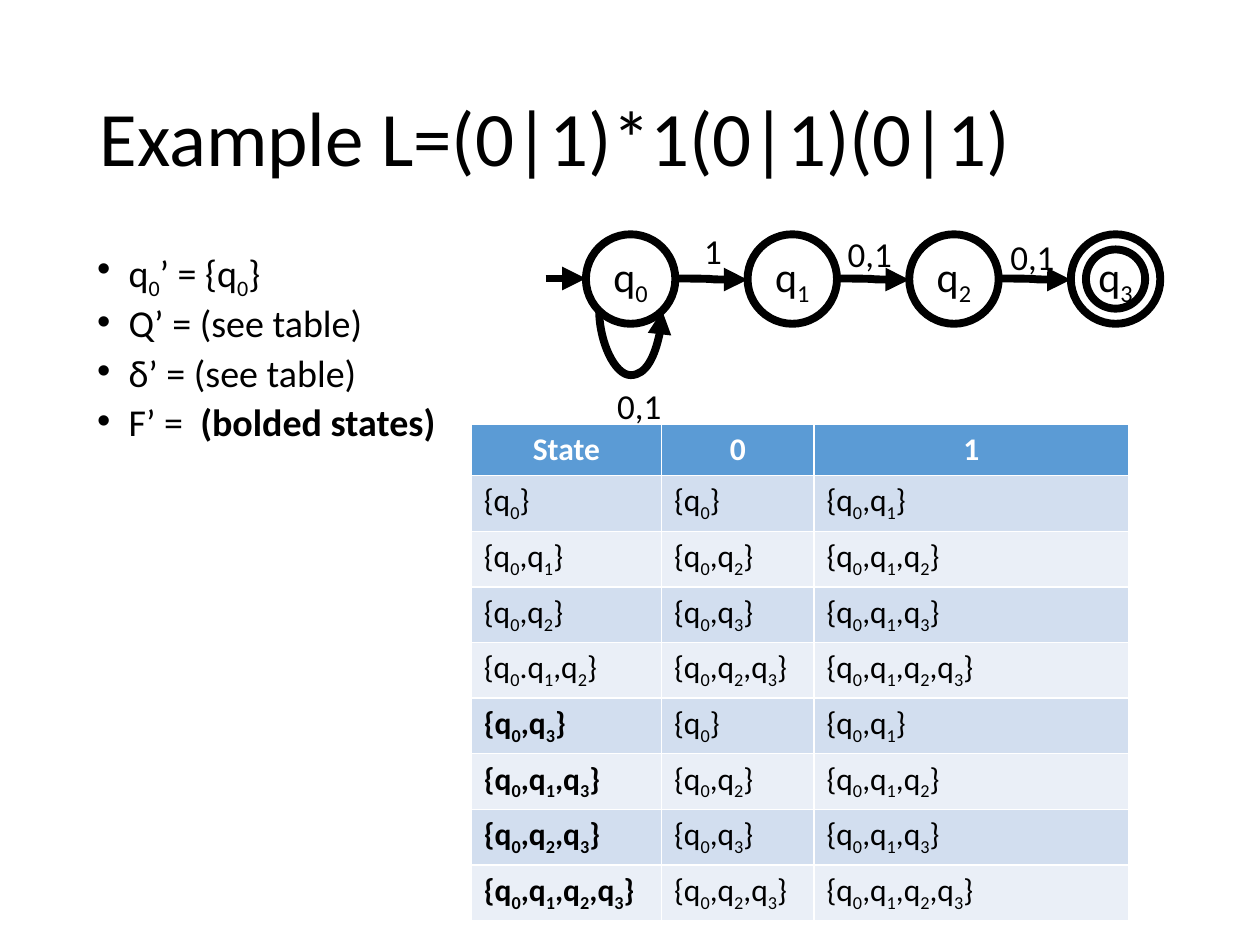
from dataclasses import dataclass
from typing import Any

from lxml import etree
from pptx import Presentation
from pptx import util as u
from pptx.dml.color import RGBColor
from pptx.enum import shapes, text
from pptx.oxml import ns

COLORS = {"ink": "000000", "paper": "FFFFFF", "header": "5B9BD5",
          "odd": "D2DEEF", "even": "EAEFF7"}
FONT = "Calibri"
WIDTH, HEIGHT = u.Inches(10), u.Inches(7.5)

# Diagram grid, in percent of the slide's width or height
FIRST_STATE, STATE_PITCH, STATE_TOP = 46.5, 12.83, 24.8
STATE_SIZE, RING_SIZE = (7.1, 9.47), (4.7, 6.27)
MIDDLE = 29.47


@dataclass
class State:
    label: str
    column: int
    size: tuple[float, float] = STATE_SIZE


@dataclass
class Arrow:
    start: tuple[float, float]
    end: tuple[float, float]
    kind: Any = shapes.MSO_CONNECTOR.CURVE


@dataclass
class Label:
    text: str
    left: float
    top: float
    width: float


def x(share: float) -> int:
    return round(WIDTH * share / 100)


def y(share: float) -> int:
    return round(HEIGHT * share / 100)


def box(left: float, top: float, width: float, height: float) -> tuple:
    return x(left), y(top), x(width), y(height)


def apply(target: Any, values: dict) -> None:
    for name, value in values.items():
        setattr(target, name, value)


def color(name: str) -> RGBColor:
    return RGBColor.from_string(COLORS[name])


def write(paragraph, content: str, size: float, bold: bool = False,
          ink: str = "ink") -> None:
    """Add runs; the character after each underscore is a subscript."""
    first, *others = content.split("_")
    pieces = [(first, False)]
    for other in others:
        pieces += [(other[0], True), (other[1:], False)]
    for piece, lowered in pieces:
        if not piece:
            continue
        run = paragraph.add_run()
        run.text = piece
        apply(run.font, {"name": FONT, "size": u.Pt(size), "bold": bold})
        run.font.color.rgb = color(ink)
        if lowered:
            run.font._element.set("baseline", "-25000")


def outline(shape) -> None:
    shape.line.color.rgb = color("ink")
    shape.line.width = u.Pt(4.5)


def draw_state(slide, state: State) -> None:
    width, height = state.size
    left = FIRST_STATE + state.column * STATE_PITCH + (STATE_SIZE[0] - width) / 2
    top = STATE_TOP + (STATE_SIZE[1] - height) / 2
    shape = slide.shapes.add_shape(shapes.MSO_SHAPE.OVAL, *box(left, top, width, height))
    shape.shadow.inherit = False
    shape.fill.background()
    outline(shape)
    if state.label:
        shape.text_frame.vertical_anchor = text.MSO_ANCHOR.MIDDLE
        paragraph = shape.text_frame.paragraphs[0]
        paragraph.alignment = text.PP_ALIGN.CENTER
        write(paragraph, state.label, 24)


def draw_arrow(slide, arrow: Arrow):
    (x1, y1), (x2, y2) = arrow.start, arrow.end
    connector = slide.shapes.add_connector(arrow.kind, x(x1), y(y1), x(x2), y(y2))
    outline(connector)
    etree.SubElement(connector.line._get_or_add_ln(), ns.qn("a:tailEnd"), type="triangle")
    etree.SubElement(connector._element.spPr, ns.qn("a:effectLst"))
    return connector


def draw_loop(slide) -> None:
    """A curve turned a quarter so that it hangs below the first state."""
    connector = draw_arrow(slide, Arrow((50, MIDDLE), (50.1, MIDDLE + 6.67)))
    properties = connector._element.spPr
    apply_xml = properties.find(ns.qn("a:xfrm")).set
    for name, value in {"rot": "16200000", "flipH": "1"}.items():
        apply_xml(name, value)
    guides = properties.find(ns.qn("a:prstGeom")).find(ns.qn("a:avLst"))
    etree.SubElement(guides, ns.qn("a:gd"), name="adj1", fmla="val 5300000")


def draw_label(slide, label: Label) -> None:
    shape = slide.shapes.add_textbox(*box(label.left, label.top, label.width, 5.87))
    apply(shape.text_frame, {"word_wrap": False,
                             "auto_size": text.MSO_AUTO_SIZE.SHAPE_TO_FIT_TEXT})
    write(shape.text_frame.paragraphs[0], label.text, 20)


def place(placeholder, area: tuple, anchor) -> None:
    apply(placeholder, dict(zip(("left", "top", "width", "height"), area)))
    apply(placeholder.text_frame, {"auto_size": text.MSO_AUTO_SIZE.NONE,
                                   "word_wrap": True, "vertical_anchor": anchor})


def draw_table(slide, rows: list[tuple], columns: tuple, first_bold: int) -> None:
    table = slide.shapes.add_table(
        len(rows), len(columns), *box(37.4, 44.93, sum(columns), 48.67)).table
    for column, width in zip(table.columns, columns):
        column.width = x(width)
    for i, row in enumerate(rows):
        for j, content in enumerate(row):
            cell = table.cell(i, j)
            cell.fill.solid()
            fill = "header" if i == 0 else "odd" if i % 2 else "even"
            cell.fill.fore_color.rgb = color(fill)
            paragraph = cell.text_frame.paragraphs[0]
            if i == 0:
                paragraph.alignment = text.PP_ALIGN.CENTER
            bold = i == 0 or (j == 0 and i >= first_bold)
            write(paragraph, content, 18, bold, "paper" if i == 0 else "ink")


BULLETS = [
    [("q_0’ = {q_0}", False)],
    [("Q’ = (see table)", False)],
    [("δ’ = (see table)", False)],
    [("F’ =  ", False), ("(bolded states)", True)],
]
STATES = [State("", 3, RING_SIZE)] + [State(f"q_{i}", i) for i in range(4)]
LABELS = [Label("0,1", 48, 40, 5.6), Label("1", 54.9, 23.6, 3.4),
          Label("0,1", 66.3, 24, 5.6), Label("0,1", 79.2, 24.27, 5.6)]
TRANSITIONS = [
    ("State", "0", "1"),
    ("{q_0}", "{q_0}", "{q_0,q_1}"),
    ("{q_0,q_1}", "{q_0,q_2}", "{q_0,q_1,q_2}"),
    ("{q_0,q_2}", "{q_0,q_3}", "{q_0,q_1,q_3}"),
    ("{q_0.q_1,q_2}", "{q_0,q_2,q_3}", "{q_0,q_1,q_2,q_3}"),
    ("{q_0,q_3}", "{q_0}", "{q_0,q_1}"),
    ("{q_0,q_1,q_3}", "{q_0,q_2}", "{q_0,q_1,q_2}"),
    ("{q_0,q_2,q_3}", "{q_0,q_3}", "{q_0,q_1,q_3}"),
    ("{q_0,q_1,q_2,q_3}", "{q_0,q_2,q_3}", "{q_0,q_1,q_2,q_3}"),
]


def main() -> None:
    presentation = Presentation()
    apply(presentation, {"slide_width": WIDTH, "slide_height": HEIGHT})
    slide = presentation.slides.add_slide(presentation.slide_layouts[1])
    title, body = slide.placeholders

    # Title
    place(title, box(6.9, 5.33, 86.2, 19.33), text.MSO_ANCHOR.MIDDLE)
    heading = title.text_frame.paragraphs[0]
    apply(heading, {"alignment": text.PP_ALIGN.LEFT, "line_spacing": 0.9})
    write(heading, "Example L=(0|1)*1(0|1)(0|1)", 44)

    # Bullet list
    place(body, box(6.7, 26.67, 29.4, 23.6), text.MSO_ANCHOR.TOP)
    for i, parts in enumerate(BULLETS):
        frame = body.text_frame
        paragraph = frame.add_paragraph() if i else frame.paragraphs[0]
        apply(paragraph, {"line_spacing": 0.7, "space_before": u.Pt(10)})
        properties = paragraph._p.get_or_add_pPr()
        properties.set("marL", str(u.Inches(0.25)))
        properties.set("indent", str(-u.Inches(0.25)))
        for content, bold in parts:
            write(paragraph, content, 21.7, bold)

    # Automaton
    for state in STATES:
        draw_state(slide, state)
    draw_arrow(slide, Arrow((43.3, MIDDLE), (FIRST_STATE, MIDDLE),
                            shapes.MSO_CONNECTOR.STRAIGHT))
    for i in range(3):
        left = FIRST_STATE + i * STATE_PITCH
        draw_arrow(slide, Arrow((left + STATE_SIZE[0], MIDDLE),
                                (left + STATE_PITCH, MIDDLE + 0.13)))
    draw_loop(slide)
    for label in LABELS:
        draw_label(slide, label)

    # Transition table
    draw_table(slide, TRANSITIONS, (15.1, 12.1, 25), first_bold=5)
    presentation.save("out.pptx")


if __name__ == "__main__":
    main()
